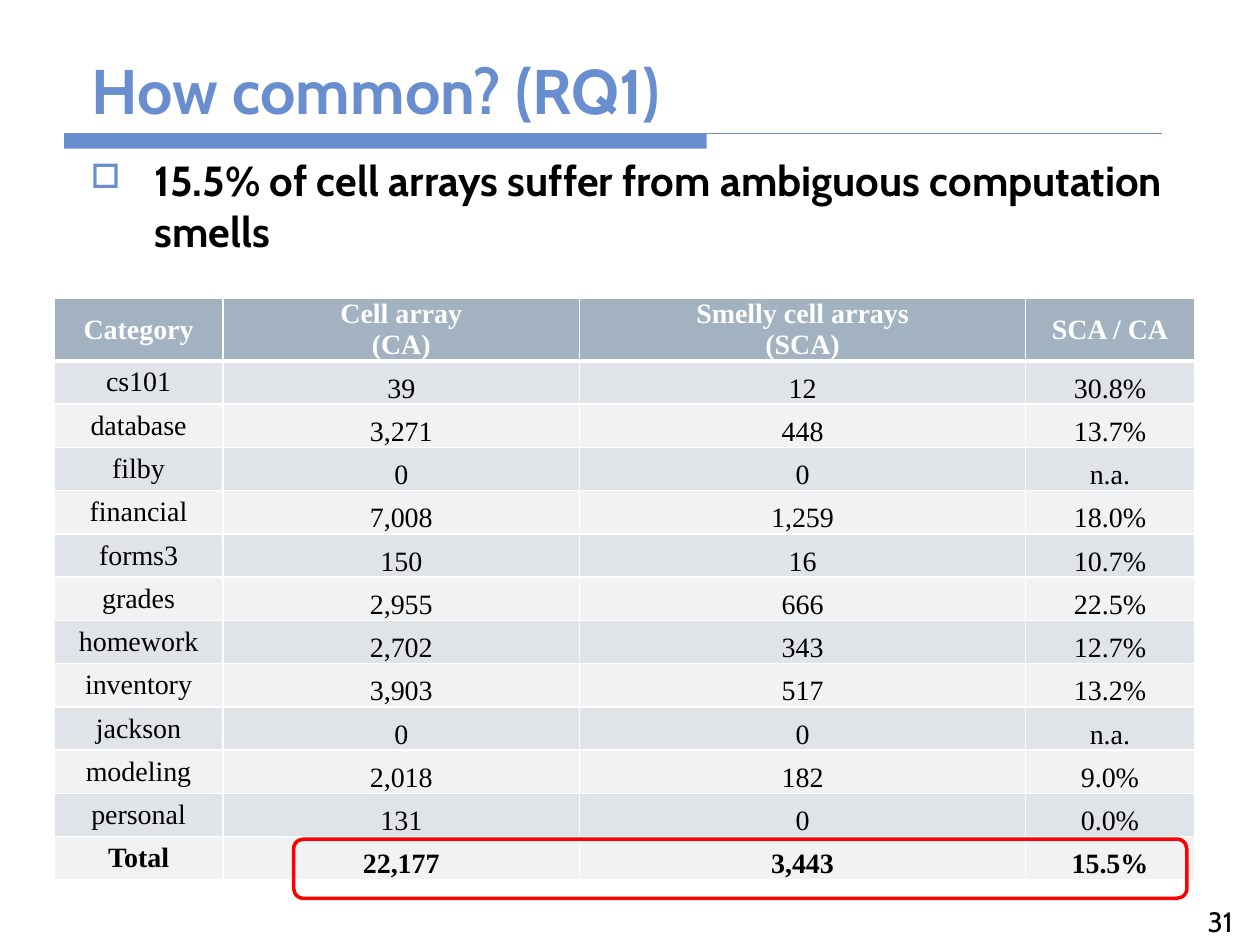
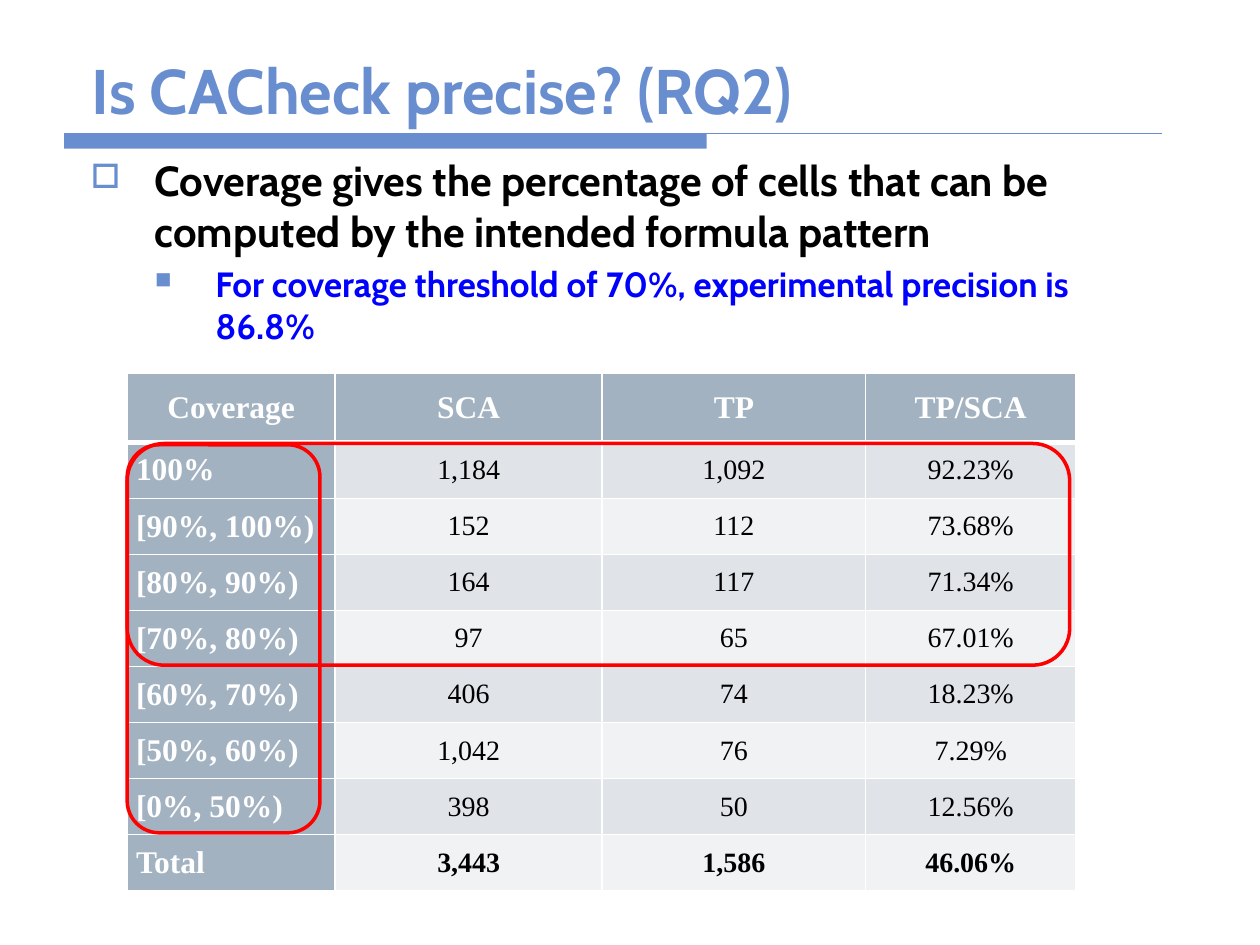
from lxml import etree
from pptx import Presentation
from pptx.dml.color import RGBColor
from pptx.enum.shapes import MSO_CONNECTOR, MSO_SHAPE
from pptx.enum.text import MSO_ANCHOR, MSO_AUTO_SIZE, PP_ALIGN
from pptx.oxml.ns import qn
from pptx.util import Inches, Pt

LEFT, CENTER, JUSTIFY = PP_ALIGN.LEFT, PP_ALIGN.CENTER, PP_ALIGN.JUSTIFY
MIDDLE, BOTTOM = MSO_ANCHOR.MIDDLE, MSO_ANCHOR.BOTTOM
RECT, ROUNDED = MSO_SHAPE.RECTANGLE, MSO_SHAPE.ROUNDED_RECTANGLE
STRAIGHT = MSO_CONNECTOR.STRAIGHT
NO_FIT = MSO_AUTO_SIZE.NONE

ACCENT = RGBColor(0x69, 0x8E, 0xCF)
HEADER = RGBColor(0xA3, 0xB2, 0xC1)
BANDS = (RGBColor(0xE0, 0xE4, 0xE9), RGBColor(0xF0, 0xF2, 0xF4))
WHITE = RGBColor(0xFF, 0xFF, 0xFF)
BLACK = RGBColor(0, 0, 0)
RED = RGBColor(0xFF, 0, 0)
BLUE = RGBColor(0, 0, 0xFF)

FONT = "Cabin"
TABLE_FONT = "Times New Roman"
TITLE_ONLY = 5

BULLETS = (
    dict(char="□", scale=80, indent=0.51, hang=0.51, size=24, color=BLACK),
    dict(char="■", scale=65, indent=0.99, hang=0.48, size=20, color=BLUE),
)

SMELL_ROWS = [
    ("Category", "Cell array\n(CA)", "Smelly cell arrays\n(SCA)", "SCA / CA"),
    ("cs101", "39", "12", "30.8%"),
    ("database", "3,271", "448", "13.7%"),
    ("filby", "0", "0", "n.a."),
    ("financial", "7,008", "1,259", "18.0%"),
    ("forms3", "150", "16", "10.7%"),
    ("grades", "2,955", "666", "22.5%"),
    ("homework", "2,702", "343", "12.7%"),
    ("inventory", "3,903", "517", "13.2%"),
    ("jackson", "0", "0", "n.a."),
    ("modeling", "2,018", "182", "9.0%"),
    ("personal", "131", "0", "0.0%"),
    ("Total", "22,177", "3,443", "15.5%"),
]

PRECISION_ROWS = [
    ("Coverage", "SCA", "TP", "TP/SCA"),
    ("100%", "1,184", "1,092", "92.23%"),
    ("[90%, 100%)", "152", "112", "73.68%"),
    ("[80%, 90%)", "164", "117", "71.34%"),
    ("[70%, 80%)", "97", "65", "67.01%"),
    ("[60%, 70%)", "406", "74", "18.23%"),
    ("[50%, 60%)", "1,042", "76", "7.29%"),
    ("[0%, 50%)", "398", "50", "12.56%"),
    ("Total", "3,443", "1,586", "46.06%"),
]


def write(p, text, size=16, color=BLACK, bold=False, font=FONT, align=LEFT,
          before=0, spacing=None):
    p.alignment = align
    if before:
        p.space_before = Pt(before)
    if spacing:
        p.line_spacing = Pt(spacing)
    r = p.add_run()
    r.text = text
    r.font.name = font
    r.font.size = Pt(size)
    r.font.bold = bold
    r.font.color.rgb = color


def add_bullet(p, char, scale, indent, hang):
    pPr = p._p.get_or_add_pPr()
    pPr.set("marL", str(Inches(indent)))
    pPr.set("indent", str(-Inches(hang)))
    clr = etree.SubElement(pPr, qn("a:buClr"))
    etree.SubElement(clr, qn("a:srgbClr"), val=str(ACCENT))
    etree.SubElement(pPr, qn("a:buSzPct"), val=str(scale * 1000))
    etree.SubElement(pPr, qn("a:buChar"), char=char)


def add_borders(cell, top, bottom):
    tcPr = cell._tc.get_or_add_tcPr()
    for side, width in (("L", 1), ("R", 1), ("T", top), ("B", bottom)):
        ln = etree.SubElement(tcPr, qn(f"a:ln{side}"), w=str(Pt(width)))
        fill = etree.SubElement(ln, qn("a:solidFill"))
        etree.SubElement(fill, qn("a:srgbClr"), val=str(WHITE))


class Deck:
    def __init__(self):
        self.prs = Presentation()
        self.prs.slide_width, self.prs.slide_height = Inches(10), Inches(7.5)
        self.s = None

    def slide(self, title):
        self.s = self.prs.slides.add_slide(self.prs.slide_layouts[TITLE_ONLY])
        self.title_rule()
        sp = self.s.shapes.title
        sp.left, sp.top, sp.width, sp.height = map(Inches, (0.63, 0.33, 8.75, 0.73))
        tf = sp.text_frame
        tf.auto_size = NO_FIT
        tf.vertical_anchor = BOTTOM
        write(tf.paragraphs[0], title, size=36, color=ACCENT, bold=True)

    def title_rule(self):
        band = self.shape(RECT, 0.51, 1.06, 5.1, 0.12)
        band.fill.solid()
        band.fill.fore_color.rgb = ACCENT
        band.line.fill.background()
        line = self.s.shapes.add_connector(
            STRAIGHT, Inches(0.51), Inches(1.06), Inches(9.22), Inches(1.06))
        line.line.color.rgb = ACCENT
        line.line.width = Pt(0.75)
        etree.SubElement(line._element.spPr, qn("a:effectLst"))

    def shape(self, kind, x, y, w, h):
        sp = self.s.shapes.add_shape(kind, *map(Inches, (x, y, w, h)))
        sp.shadow.inherit = False
        return sp

    def highlight(self, x, y, w, h):
        sp = self.shape(ROUNDED, x, y, w, h)
        sp.fill.background()
        sp.line.color.rgb = RED
        sp.line.width = Pt(2)

    def text_box(self, x, y, w, h):
        tf = self.s.shapes.add_textbox(*map(Inches, (x, y, w, h))).text_frame
        tf.word_wrap = True
        return tf

    def bullets(self, height, *texts):
        tf = self.text_box(0.62, 1.18, 8.75, height)
        for level, (text, style) in enumerate(zip(texts, BULLETS)):
            p = tf.add_paragraph() if level else tf.paragraphs[0]
            p.level = level
            add_bullet(p, style["char"], style["scale"], style["indent"], style["hang"])
            write(p, text, size=style["size"], color=style["color"], bold=True,
                  before=4 if level else 0)

    def page_number(self, number):
        tf = self.text_box(9.37, 7.13, 0.63, 0.35)
        write(tf.paragraphs[0], number, align=CENTER)

    def table(self, rows, x, y, widths, header_height, body_height, head, label, value):
        body_rows = len(rows) - 1
        frame = self.s.shapes.add_table(
            len(rows), len(widths), Inches(x), Inches(y),
            Inches(sum(widths)), Inches(header_height + body_height))
        table = frame.table
        for column, width in zip(table.columns, widths):
            column.width = Inches(width)
        for i, texts in enumerate(rows):
            table.rows[i].height = Inches(body_height / body_rows if i else header_height)
            for j, text in enumerate(texts):
                style = dict(head if i == 0 else value if j else label)
                if i == body_rows:
                    style["bold"] = True
                style.setdefault("fill", BANDS[(i - 1) % 2])
                add_borders(table.cell(i, j), top=3 if i == 1 else 1,
                            bottom=1 if i else 3)
                self.cell(table.cell(i, j), text, **style)

    def cell(self, cell, text, fill, anchor=MIDDLE, margin=0.07, **style):
        cell.fill.solid()
        cell.fill.fore_color.rgb = fill
        cell.vertical_anchor = anchor
        cell.margin_left = cell.margin_right = Inches(margin)
        cell.margin_top = cell.margin_bottom = 0
        tf = cell.text_frame
        for k, line in enumerate(text.split("\n")):
            p = tf.add_paragraph() if k else tf.paragraphs[0]
            write(p, line, font=TABLE_FONT, **style)


def main():
    deck = Deck()
    centered = dict(align=CENTER)
    heading = dict(fill=HEADER, color=WHITE, bold=True)

    deck.slide("How common? (RQ1)")
    deck.table(SMELL_ROWS, 0.43, 2.37, (1.34, 2.83, 3.54, 1.34), 0.49, 4.12,
               head=heading | centered,
               label=centered | dict(margin=0.02),
               value=centered | dict(anchor=BOTTOM, spacing=11.5))
    deck.highlight(2.33, 6.66, 7.09, 0.47)
    deck.bullets(1.23, "15.5% of cell arrays suffer from ambiguous computation smells")
    deck.page_number("31")

    deck.slide("Is CACheck precise? (RQ2)")
    deck.table(PRECISION_ROWS, 1.01, 2.96, (1.65, 2.12, 2.09, 1.67), 0.55, 3.56,
               head=heading | centered | dict(size=18),
               label=heading | dict(size=18, align=JUSTIFY),
               value=centered | dict(margin=0.01))
    deck.highlight(1.01, 3.53, 1.53, 3.08)
    deck.bullets(
        2.26,
        "Coverage gives the percentage of cells that can be computed by the "
        "intended formula pattern",
        "For coverage threshold of 70%, experimental precision is 86.8%")
    deck.highlight(1.01, 3.52, 7.48, 1.76)

    deck.prs.save("out.pptx")


if __name__ == "__main__":
    main()
